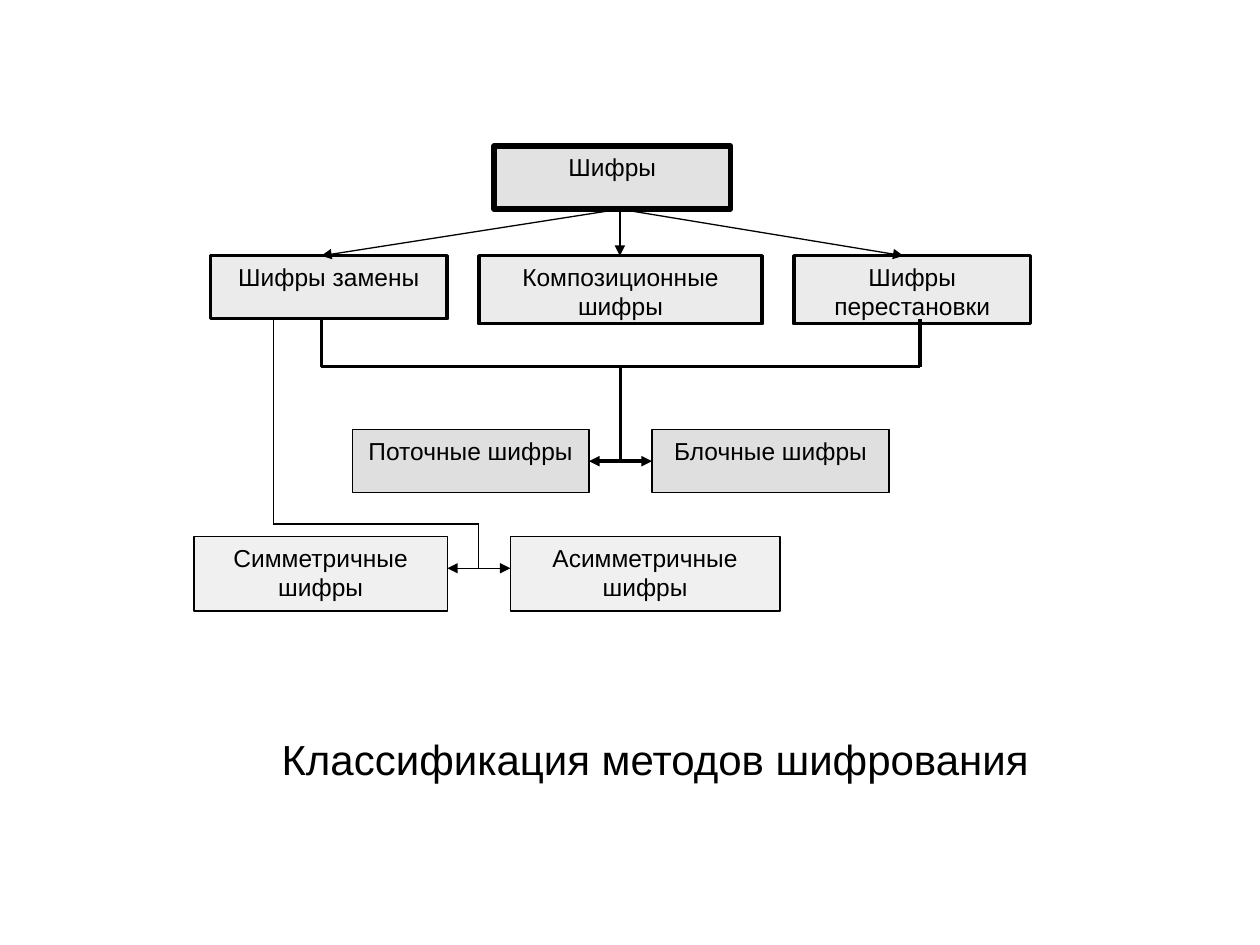
import pptx
import pptx.util
import pptx.dml.color
import pptx.enum.shapes
import pptx.enum.text
import pptx.oxml
import pptx.oxml.ns

Inches = pptx.util.Inches
Pt = pptx.util.Pt
COLORS = {"ink": "000000", "box": "C0C0C0"}
FONT = "Arial"
THIN, MEDIUM, THICK = 0.75, 2, 3
BOX_W, BOX_H = 1.88, 0.5


def rgb(name):
    """Return the named palette colour."""
    return pptx.dml.color.RGBColor.from_string(COLORS[name])


def set_text(tf, text, size):
    """Write one centred paragraph at the top of a text frame."""
    tf.word_wrap = True
    tf.vertical_anchor = pptx.enum.text.MSO_ANCHOR.TOP
    p = tf.paragraphs[0]
    p.text = text
    p.alignment = pptx.enum.text.PP_ALIGN.CENTER
    p.font.name, p.font.size = FONT, Pt(size)
    p.font.color.rgb = rgb("ink")


def set_line(line, width):
    """Apply a solid dark line of the given width."""
    line.color.rgb = rgb("ink")
    line.width = Pt(width)


def add_box(s, x, y, text, opacity, width, w=BOX_W, h=BOX_H):
    """Add a translucent grey box with a caption."""
    sp = s.shapes.add_shape(pptx.enum.shapes.MSO_SHAPE.RECTANGLE,
                            Inches(x), Inches(y), Inches(w), Inches(h))
    sp.shadow.inherit = False
    sp.fill.solid()
    sp.fill.fore_color.rgb = rgb("box")
    color = sp.fill._xPr.find(".//" + pptx.oxml.ns.qn("a:srgbClr"))
    alpha = pptx.oxml.parse_xml(f'<a:alpha {pptx.oxml.ns.nsdecls("a")} val="{opacity * 1000}"/>')
    color.append(alpha)
    set_line(sp.line, width)
    set_text(sp.text_frame, text, 14)


def add_line(s, start, end, width, arrows=()):
    """Add a straight connector with triangles at the named ends."""
    sp = s.shapes.add_connector(pptx.enum.shapes.MSO_CONNECTOR.STRAIGHT,
                                *(Inches(v) for v in (*start, *end)))
    set_line(sp.line, width)
    ns = pptx.oxml.ns.nsdecls("a")
    ln = sp.line._get_or_add_ln()
    for name in arrows:
        ln.append(pptx.oxml.parse_xml(f'<a:{name} {ns} type="triangle"/>'))
    sp._element.spPr.append(pptx.oxml.parse_xml(f"<a:effectLst {ns}/>"))


def draw_title(s, x, y, w, h):
    """Place the slide title in its box."""
    sp = s.shapes.title
    sp.left, sp.top, sp.width, sp.height = (Inches(v) for v in (x, y, w, h))
    set_text(sp.text_frame, "Классификация методов шифрования", 24)


def draw_hierarchy(s, x, y):
    """Draw the root box and its three kinds of cipher."""
    row = y + 0.87
    add_box(s, x + 2.25, y, "Шифры", 45, THICK)
    add_box(s, x, row, "Шифры замены", 30, MEDIUM)
    add_box(s, x + 4.63, row, "Шифры перестановки", 30, MEDIUM, h=0.54)
    add_box(s, x + 2.13, row, "Композиционные шифры", 30, MEDIUM, w=2.25, h=0.54)
    for dx in (0.88, 5.5, 3.25):
        add_line(s, (x + 3.25, y + BOX_H), (x + dx, row), THIN, ["tailEnd"])


def draw_stream_and_block(s, x, y, w):
    """Draw the bracket that leads to stream and block ciphers."""
    right, bar, row = x + w, y + 0.38, y + 0.88
    mid, gap = x + w / 2, 0.25
    arrow_y = row + BOX_H / 2
    add_box(s, mid + gap, row, "Блочные шифры", 50, THIN)
    add_box(s, mid - gap - BOX_W, row, "Поточные шифры", 50, THIN)
    add_line(s, (mid, bar), (mid, arrow_y), MEDIUM)
    builder = s.shapes.build_freeform(Inches(x), Inches(y))
    builder.add_line_segments([(Inches(x), Inches(bar)), (Inches(right), Inches(bar))], close=False)
    sp = builder.convert_to_shape()
    sp.shadow.inherit = False
    sp.fill.background()
    set_line(sp.line, MEDIUM)
    add_line(s, (mid - gap, arrow_y), (mid + gap, arrow_y), MEDIUM, ["headEnd", "tailEnd"])
    add_line(s, (right, y), (right, bar), MEDIUM)


def draw_key_types(s, x, y):
    """Draw the path that leads to symmetric and asymmetric ciphers."""
    row, left_w, gap = y + 1.73, 2.01, 0.25
    mid = x + left_w + gap
    arrow_y = row + 0.25
    add_box(s, mid + gap, row, "Асимметричные шифры", 23, THIN, w=2.14, h=0.59)
    add_box(s, x, row, "Симметричные шифры", 23, THIN, w=left_w, h=0.59)
    route = [(x + 0.63, y), (x + 0.63, row - 0.1), (mid, row - 0.1), (mid, arrow_y)]
    for start, end in zip(route, route[1:]):
        add_line(s, start, end, THIN)
    add_line(s, (mid - gap, arrow_y), (mid + gap, arrow_y), THIN, ["headEnd", "tailEnd"])


def main():
    """Build and save the slide."""
    prs = pptx.Presentation()
    prs.slide_width, prs.slide_height = Inches(10), Inches(7.5)
    s = prs.slides.add_slide(prs.slide_layouts[5])
    draw_title(s, 1.3, 5.77, 7.8, 0.5)
    draw_hierarchy(s, 1.67, 1.16)
    draw_stream_and_block(s, 2.55, 2.53, 4.75)
    draw_key_types(s, 1.54, 2.53)
    prs.save("out.pptx")


if __name__ == "__main__":
    main()
